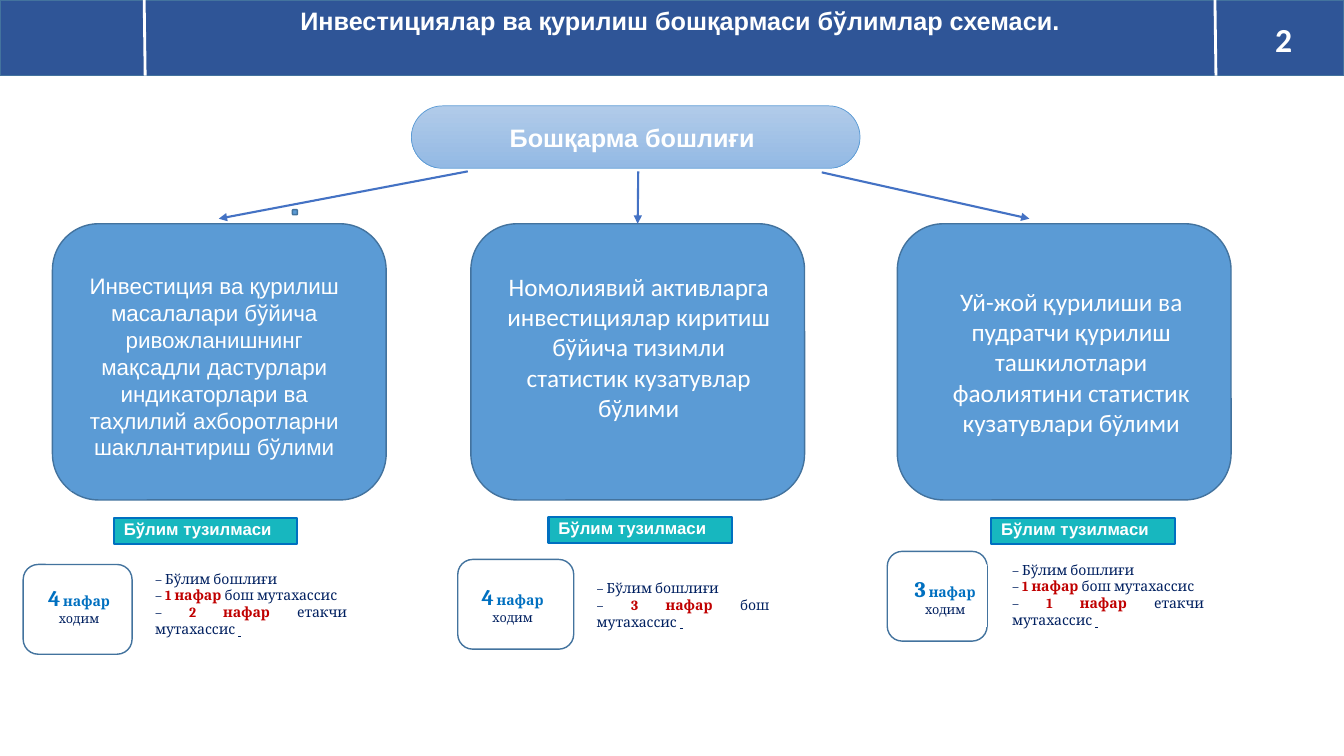
from lxml import etree
from pptx import Presentation
from pptx.dml.color import RGBColor
from pptx.enum.shapes import MSO_CONNECTOR, MSO_SHAPE as SHAPE
from pptx.enum.text import MSO_ANCHOR as ANCHOR, MSO_AUTO_SIZE, PP_ALIGN as ALIGN
from pptx.oxml.ns import qn
from pptx.util import Pt

PX = 9144  # 100 px to the inch
COLORS = {
    "white": "FFFFFF", "band": "2F5597", "edge": "43739E", "card": "5B9BD5",
    "pill_top": "B1CBE9", "pill_bottom": "93B9E4", "arrow": "4472C4",
    "label": "17B7BF", "blue": "0070C0", "navy": "002060", "red": "C00000",
}


def rgb(name):
    return RGBColor.from_string(COLORS[name])


def style_font(font, size, color, name="Arial", bold=False, underline=None):
    font.size, font.name, font.bold = Pt(size), name, bold
    font.underline = underline
    font.color.rgb = rgb(color)


class Deck:
    def __init__(self, width, height):
        self.prs = Presentation()
        self.prs.slide_width, self.prs.slide_height = width * PX, height * PX
        self.s = self.prs.slides.add_slide(self.prs.slide_layouts[5])

    def shape(self, kind, box, fill=None, line=None, weight=1):
        sp = self.s.shapes.add_shape(kind, *(v * PX for v in box))
        sp.shadow.inherit = False
        if fill:
            sp.fill.solid()
            sp.fill.fore_color.rgb = rgb(fill)
        else:
            sp.fill.background()
        if line:
            sp.line.color.rgb = rgb(line)
            sp.line.width = Pt(weight)
        else:
            sp.line.fill.background()
        return sp

    def frame(self, sp, anchor=ANCHOR.MIDDLE):
        tf = sp.text_frame
        tf.word_wrap, tf.auto_size = True, MSO_AUTO_SIZE.NONE
        tf.vertical_anchor = anchor
        return tf

    def text(self, sp, text, size, name="Arial", bold=False, align=ALIGN.CENTER,
             anchor=ANCHOR.MIDDLE):
        """Write one white paragraph and return it."""
        p = self.frame(sp, anchor).paragraphs[0]
        p.text, p.alignment = text, align
        style_font(p.font, size, "white", name, bold)
        return p

    def rich_text(self, sp, lines, align):
        """Write paragraphs of (text, size, color, bold, underline) runs in Cambria."""
        tf = self.frame(sp)
        for i, runs in enumerate(lines):
            p = tf.add_paragraph() if i else tf.paragraphs[0]
            p.alignment = align
            for text, size, color, bold, underline in runs:
                r = p.add_run()
                r.text = text
                style_font(r.font, size, color, "Cambria", bold, underline)

    def title(self, box, text, above):
        sp = self.s.shapes.title
        sp.left, sp.top, sp.width, sp.height = (v * PX for v in box)
        self.text(sp, text, 18, bold=True, anchor=ANCHOR.TOP)
        above._element.addnext(sp._element)

    def textbox(self, box, text, size, name):
        sp = self.s.shapes.add_textbox(*(v * PX for v in box))
        self.text(sp, text, size, name, bold=True)

    def line(self, ends, color, weight, arrow=False):
        c = self.s.shapes.add_connector(MSO_CONNECTOR.STRAIGHT, *(v * PX for v in ends))
        c.line.color.rgb = rgb(color)
        c.line.width = Pt(weight)
        if arrow:
            etree.SubElement(c.line._get_or_add_ln(), qn("a:tailEnd"), type="triangle")
        etree.SubElement(c._element.spPr, qn("a:effectLst"))
        return c

    def pill(self, box, text):
        sp = self.shape(SHAPE.ROUNDED_RECTANGLE, box, line="card", weight=0.5)
        sp.adjustments[0] = 0.5
        sp.fill.gradient()
        sp.fill.gradient_angle = 270
        for stop, color in zip(sp.fill.gradient_stops, ("pill_top", "pill_bottom")):
            stop.color.rgb = rgb(color)
        self.text(sp, text, 18, bold=True).space_before = Pt(6)

    def card(self, left, text_box, text, size, name, lift=0):
        """Draw a department card; lift is extra bottom margin under its text."""
        sp = self.shape(SHAPE.ROUNDED_RECTANGLE, (left, 222, 331, 274), "card", "edge")
        body = self.shape(SHAPE.RECTANGLE, text_box, "card")
        self.text(body, text, size, name)
        body.text_frame.margin_bottom = (5 + lift) * PX
        return sp

    def label(self, left, top):
        sp = self.shape(SHAPE.RECTANGLE, (left, top, 182, 26), "label", "blue", 1.5)
        p = self.text(sp, "Бўлим тузилмаси", 12, bold=True, align=ALIGN.LEFT,
                      anchor=ANCHOR.TOP)
        p.line_spacing = 0.8

    def headcount(self, frame_box, left, top, count):
        self.shape(SHAPE.ROUNDED_RECTANGLE, frame_box, line="edge")
        sp = self.shape(SHAPE.RECTANGLE, (left, top, 83, 62), "white")
        runs = [(count, 15.8, "blue", True, None), (" ", 9, "navy", False, None),
                ("нафар", 10, "blue", True, None), (" ходим", 9, "navy", False, None)]
        self.rich_text(sp, [runs], ALIGN.CENTER)

    def staff(self, box, posts):
        sp = self.shape(SHAPE.RECTANGLE, box, "white")
        lines = [[("– Бўлим бошлиғи", 10, "navy", False, None)]]
        for number, post in posts:
            lines.append([("– ", 10, "navy", False, None),
                          (f"{number} нафар ", 10, "red", True, None),
                          (post, 10, "navy", False, None)])
        lines[-1].append((" ", 10, "navy", True, True))
        self.rich_text(sp, lines, ALIGN.JUSTIFY)


CARDS = [
    (52, (70, 240, 285, 247),
     "Инвестиция ва қурилиш масалалари бўйича ривожланишнинг мақсадли дастурлари "
     "индикаторлари ва таҳлилий ахборотларни шакллантириш бўлими", 16, "Arial"),
    (467, (491, 252, 285, 214),
     "Номолиявий активларга инвестициялар киритиш бўйича тизимли статистик "
     "кузатувлар бўлими", 18, "Calibri", 30),
    (890, (920, 252, 285, 214),
     "Уй-жой қурилиши ва пудратчи қурилиш ташкилотлари фаолиятини статистик "
     "кузатувлари бўлими", 18, "Calibri"),
]
ARROWS = [(464, 170, 217, 217), (633, 170, 635, 222), (815, 171, 1021, 217)]
# label position, headcount (frame, left, top, count), staff (box, posts)
TEAMS = [
    ((113, 514), ((23, 560, 108, 89), 37, 569, "4"),
     ((144, 568, 210, 62), [(1, "бош мутахассис"), (2, "етакчи мутахассис ")])),
    ((544, 513), ((454, 555, 115, 89), 467, 568, "4"),
     ((582, 569, 191, 62), [(3, "бош мутахассис ")])),
    ((983, 514), ((880, 547, 99, 89), 896, 560, "3"),
     ((994, 559, 210, 62), [(1, "бош мутахассис"), (1, "етакчи мутахассис ")])),
]


def main():
    deck = Deck(1333, 750)
    band = deck.shape(SHAPE.RECTANGLE, (0, 0, 1333, 75), "band", "edge")
    deck.title((113, 0, 1123, 40),
               "Инвестициялар ва қурилиш бошқармаси бўлимлар схемаси.", band)
    deck.textbox((1232, 24, 82, 30), "2", 24, "Calibri")
    for x in (1205, 143):
        deck.line((x, 0, x + 1, 75), "white", 2)

    deck.pill((408, 105, 445, 62), "Бошқарма бошлиғи ")
    deck.shape(SHAPE.ROUNDED_RECTANGLE, (290, 208, 5, 5), "card", "edge")
    cards = [deck.card(*card) for card in CARDS]
    arrows = [deck.line(ends, "arrow", 1.5, arrow=True) for ends in ARROWS]
    arrows[1].end_connect(cards[1], 0)

    for label, headcount, staff in TEAMS:
        deck.label(*label)
        deck.headcount(*headcount)
        deck.staff(*staff)
    deck.prs.save("out.pptx")


if __name__ == "__main__":
    main()
